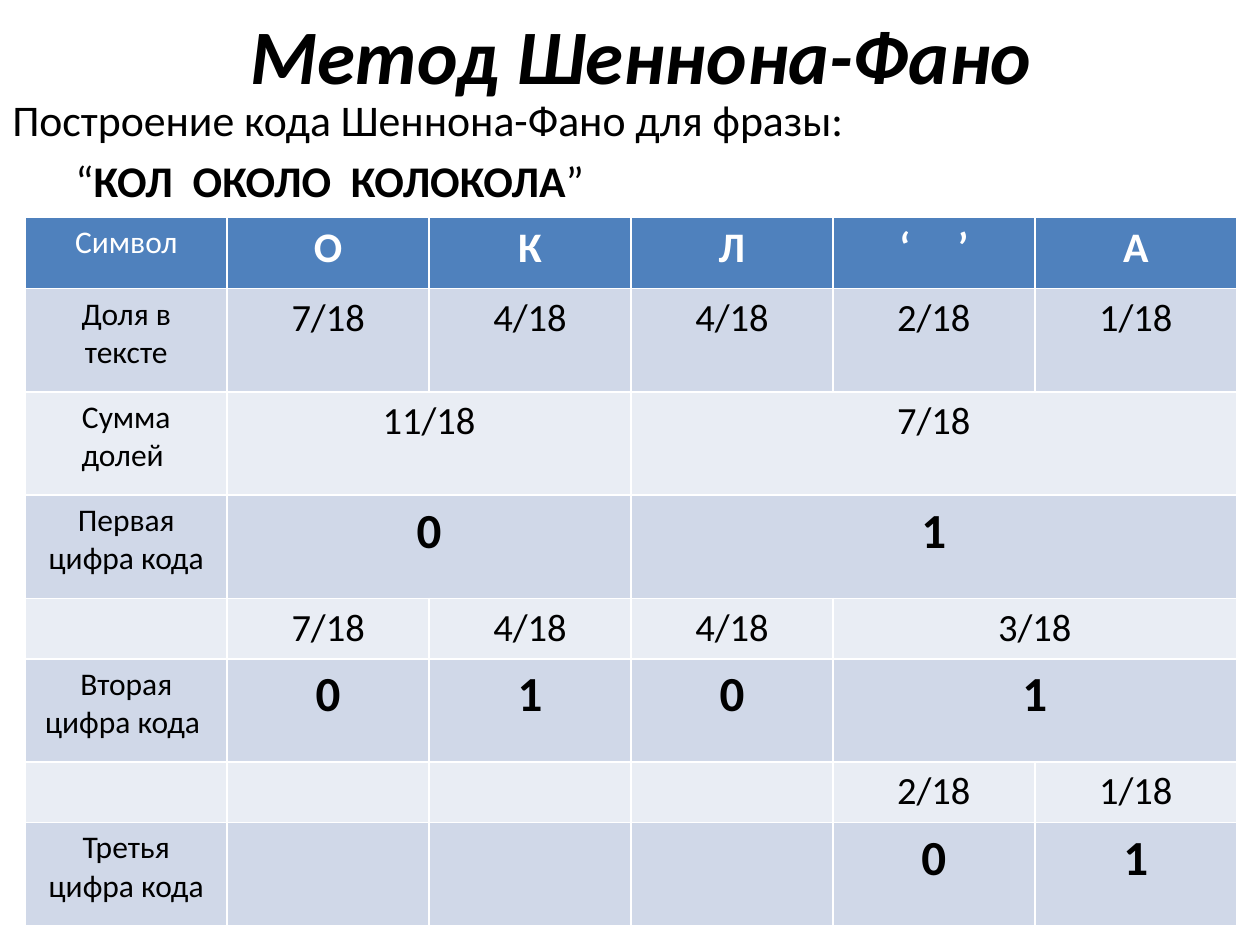
"""Build a slide that works through Shannon-Fano coding of a phrase in a table."""
from pptx import Presentation
from pptx.dml.color import RGBColor
from pptx.enum.text import MSO_ANCHOR as Anchor, MSO_AUTO_SIZE as AutoSize, PP_ALIGN as Align
from pptx.util import Cm, Pt

THEME = {
    "font": "Calibri",
    "ink": "000000",
    "light": "FFFFFF",
    "header": "4F81BD",
    "bands": ("E9EDF4", "D0D8E8"),
    "title": 44,
    "intro": 25,
    "label": 18,
    "symbol": (24, True),
    "share": (22, False),
    "digit": (28, True),
}

TITLE = "Метод Шеннона-Фано"
INTRO = [
    [("Построение кода Шеннона-Фано для фразы:", False)],
    [("\t“", False), ("КОЛ  ОКОЛО  КОЛОКОЛА", True), ("”", False)],
]
TALL, SHORT = 2.08, 1.22
ROWS = [
    ("symbol", 1.45, "Символ", [("О", 1), ("К", 1), ("Л", 1), ("‘     ’", 1), ("А", 1)]),
    ("share", TALL, "Доля в тексте",
     [("7/18", 1), ("4/18", 1), ("4/18", 1), ("2/18", 1), ("1/18", 1)]),
    ("share", TALL, "Сумма долей\u00a0", [("11/18", 2), ("7/18", 3)]),
    ("digit", TALL, "Первая цифра кода", [("0", 2), ("1", 3)]),
    ("share", SHORT, "", [("7/18", 1), ("4/18", 1), ("4/18", 1), ("3/18", 2)]),
    ("digit", TALL, "Вторая цифра кода\u00a0", [("0", 1), ("1", 1), ("0", 1), ("1", 2)]),
    ("share", SHORT, "", [("", 1), ("", 1), ("", 1), ("2/18", 1), ("1/18", 1)]),
    ("digit", TALL, "Третья цифра кода", [("", 1), ("", 1), ("", 1), ("0", 1), ("1", 1)]),
]
COLUMNS, COLUMN_WIDTH = 6, 4.07


def style(run, size, color, bold=False, italic=False):
    font = run.font
    font.name, font.size = THEME["font"], Pt(size)
    font.bold, font.italic = bold, italic
    font.color.rgb = RGBColor.from_string(color)


def add_title(slide):
    title = slide.shapes.title
    title.left, title.top, title.width, title.height = Cm(1.5), Cm(0), Cm(22.86), Cm(2.16)
    frame = title.text_frame
    frame.text = TITLE
    frame.vertical_anchor = Anchor.MIDDLE
    heading = frame.paragraphs[0]
    heading.alignment = Align.CENTER
    style(heading.runs[0], THEME["title"], THEME["ink"], bold=True, italic=True)


def add_intro(slide):
    frame = slide.shapes.add_textbox(Cm(0), Cm(1.75), Cm(25.4), Cm(2.62)).text_frame
    frame.word_wrap = True
    frame.auto_size = AutoSize.SHAPE_TO_FIT_TEXT
    for index, pieces in enumerate(INTRO):
        line = frame.add_paragraph() if index else frame.paragraphs[0]
        line.space_before = Pt(5 if index else 0)
        for wording, bold in pieces:
            run = line.add_run()
            run.text = wording
            style(run, THEME["intro"], THEME["ink"], bold)


def fill_cell(cell, wording, size, bold, color):
    cell.text = wording
    entry = cell.text_frame.paragraphs[0]
    entry.alignment = Align.CENTER
    for run in entry.runs:
        style(run, size, color, bold)


def add_code_table(slide):
    height = sum(row[1] for row in ROWS)
    table = slide.shapes.add_table(
        len(ROWS), COLUMNS, Cm(0.51), Cm(4.37), Cm(COLUMNS * COLUMN_WIDTH), Cm(height)
    ).table
    for column in table.columns:
        column.width = Cm(COLUMN_WIDTH)
    for r, (kind, row_height, label, groups) in enumerate(ROWS):
        table.rows[r].height = Cm(row_height)
        band = THEME["bands"][r % 2] if r else THEME["header"]
        color = THEME["ink"] if r else THEME["light"]
        for cell in table.rows[r].cells:
            cell.fill.solid()
            cell.fill.fore_color.rgb = RGBColor.from_string(band)
        fill_cell(table.cell(r, 0), label, THEME["label"], False, color)
        c = 1
        for wording, span in groups:
            cell = table.cell(r, c)
            if span > 1:
                cell.merge(table.cell(r, c + span - 1))
            fill_cell(cell, wording, *THEME[kind], color)
            c += span


def main():
    deck = Presentation()
    deck.slide_width, deck.slide_height = Cm(25.4), Cm(19.05)
    slide = deck.slides.add_slide(deck.slide_layouts[5])
    add_title(slide)
    add_intro(slide)
    add_code_table(slide)
    deck.save("out.pptx")


if __name__ == "__main__":
    main()
